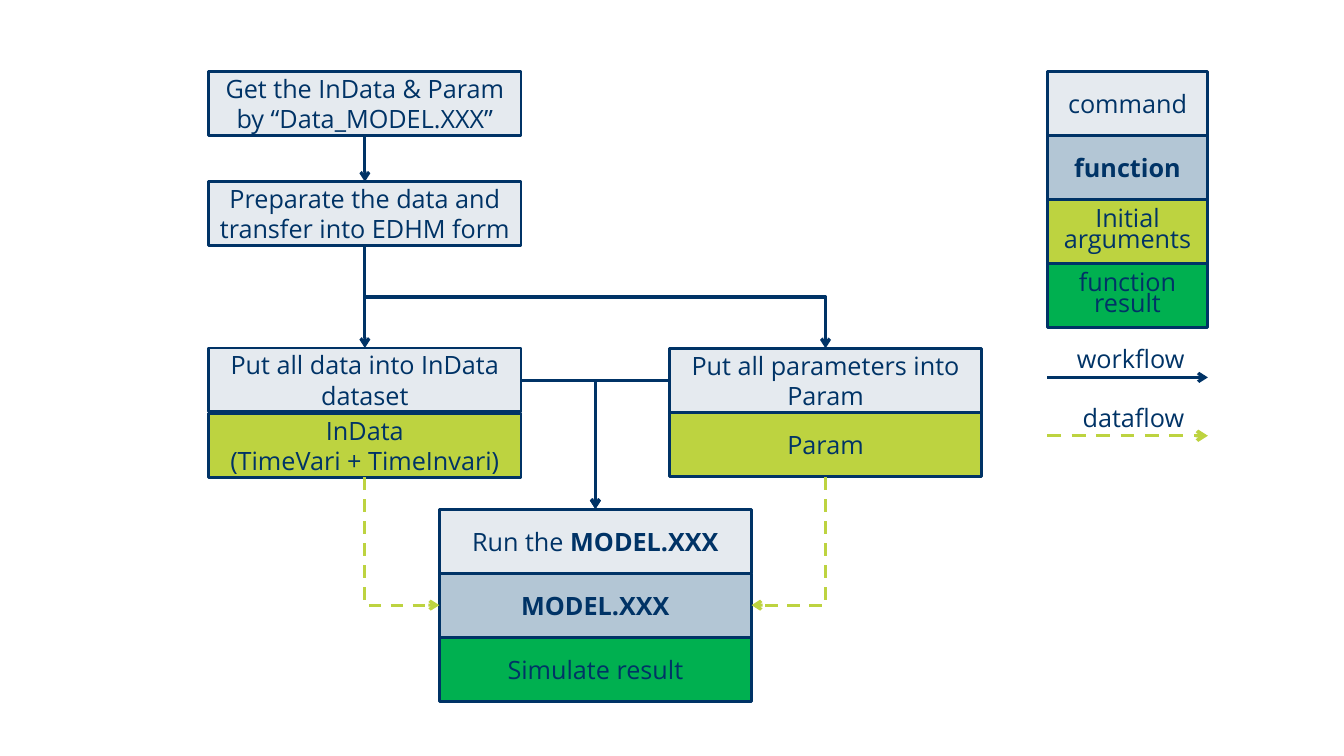
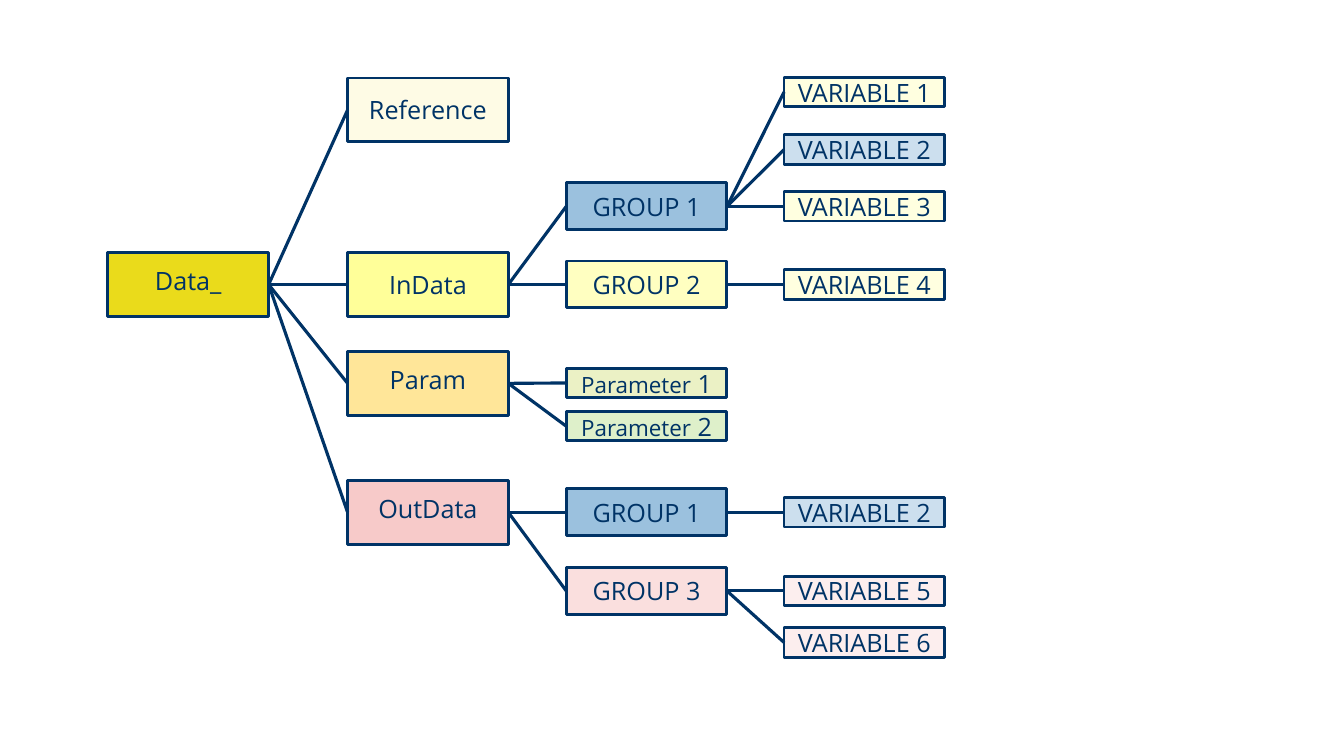
import pptx
import pptx.util
import pptx.dml.color
import pptx.enum.dml
import pptx.enum.shapes
import pptx.enum.text
import pptx.oxml.ns
import lxml.etree

Cm = pptx.util.Cm
Pt = pptx.util.Pt
qn = pptx.oxml.ns.qn
RECTANGLE = pptx.enum.shapes.MSO_SHAPE.RECTANGLE
CONNECTOR = pptx.enum.shapes.MSO_CONNECTOR

NAVY = "003366"
STEEL = "B3C6D5"
LIME = "BDD340"
GREEN = "00B050"
BLUE = "5998C9"
YELLOW = "FFFF99"
PINK = "F7CAC9"
FONT = "Open Sans"


def paint(fill, color, opacity=100):
    fill.solid()
    fill.fore_color.rgb = pptx.dml.color.RGBColor.from_string(color)
    if opacity < 100:
        tone = fill._xPr.find(qn("a:solidFill")).find(qn("a:srgbClr"))
        lxml.etree.SubElement(tone, qn("a:alpha")).set("val", str(opacity * 1000))


def add_box(page, left, top, width, height, text, color=None, opacity=100, bold=False, spacing=None):
    area = Cm(left), Cm(top), Cm(width), Cm(height)
    if color:
        box = page.shapes.add_shape(RECTANGLE, *area)
        box.shadow.inherit = False
        paint(box.fill, color, opacity)
        paint(box.line.fill, NAVY)
        box.line.width = Pt(2)
    else:
        box = page.shapes.add_textbox(*area)
        box.text_frame.margin_top = box.text_frame.margin_bottom = 0
    frame = box.text_frame
    frame.word_wrap = True
    frame.vertical_anchor = pptx.enum.text.MSO_ANCHOR.MIDDLE
    frame.text = text
    for para in frame.paragraphs:
        para.alignment = pptx.enum.text.PP_ALIGN.CENTER
        para.font.name = FONT
        para.font.size = Pt(18)
        para.font.bold = bold
        paint(para.font.fill, NAVY)
        if spacing:
            para.line_spacing = spacing
    return box


deck = pptx.Presentation()
deck.slide_width = Cm(33.87)
deck.slide_height = Cm(19.05)
blank = deck.slide_layouts[6]
lines = []

page = deck.slides.add_slide(blank)
step_width, row = 7.87, 1.61
left_column, middle_column, right_column = 5.26, 11.07, 16.87
steps = {}
for name, left, top, text, color, opacity, bold in [
    ("get", left_column, 1.81, "Get the InData & Param by “Data_MODEL.XXX”", NAVY, 10, False),
    ("prepare", left_column, 4.58, "Preparate the data and transfer into EDHM form", NAVY, 10, False),
    ("put data", left_column, 8.77, "Put all data into InData dataset", NAVY, 10, False),
    ("data", left_column, 10.42, "InData\n(TimeVari + TimeInvari)", LIME, 100, False),
    ("put parameters", right_column, 8.78, "Put all parameters into Param", NAVY, 10, False),
    ("parameters", right_column, 10.4, "Param", LIME, 100, False),
    ("run", middle_column, 12.83, "Run the ", NAVY, 10, False),
    ("model", middle_column, 14.45, "MODEL.XXX", STEEL, 100, True),
    ("result", middle_column, 16.06, "Simulate result", GREEN, 100, False),
]:
    steps[name] = add_box(page, left, top, step_width, row, text, color, opacity, bold)
span = steps["run"].text_frame.paragraphs[0].add_run()
span.text = "MODEL.XXX"
span.font.bold = True

for start, end in [("get", "prepare"), ("prepare", "put data")]:
    arrow = page.shapes.add_connector(CONNECTOR.STRAIGHT, 0, 0, 0, 0)
    arrow.begin_connect(steps[start], 2)
    arrow.end_connect(steps[end], 0)
    lines.append((arrow, NAVY, 2.25, True))

left_axis, middle_axis, right_axis = [x + step_width / 2 for x in (left_column, middle_column, right_column)]
merge_y, model_y = 9.59, 15.25
for start, end, rotation, flip, preset, color in [
    ((left_column + step_width, merge_y), (middle_axis, 12.83), 0, None, "bentConnector2", NAVY),
    ((right_column, merge_y), (middle_axis, 12.83), 180, "flipV", "bentConnector2", NAVY),
    ((left_axis, 6.19), (right_axis, 8.78), 270, "flipH", "bentConnector3", NAVY),
    ((left_axis, 12.03), (middle_column, model_y), 270, "flipH", "bentConnector2", LIME),
    ((right_axis, 12.03), (middle_column + step_width, model_y), 90, None, "bentConnector2", LIME),
]:
    center_x, center_y = [(a + b) / 2 for a, b in zip(start, end)]
    width, height = [abs(a - b) for a, b in zip(start, end)]
    if rotation % 180:
        width, height = height, width
    left, top = center_x - width / 2, center_y - height / 2
    elbow = page.shapes.add_connector(CONNECTOR.ELBOW, Cm(left), Cm(top), Cm(left + width), Cm(top + height))
    properties = elbow._element.spPr
    properties.find(qn("a:prstGeom")).set("prst", preset)
    frame = properties.find(qn("a:xfrm"))
    frame.set("rot", str(rotation * 60000))
    if flip:
        frame.set(flip, "1")
    lines.append((elbow, color, 2.25, True))

legend_left, legend_width = 26.39, 4.05
for index, (text, color, opacity, bold, spacing) in enumerate([
    ("command", NAVY, 10, False, None),
    ("function", STEEL, 100, True, None),
    ("Initial arguments", LIME, 100, False, 0.7),
    ("function result", GREEN, 100, False, 0.7),
]):
    add_box(page, legend_left, 1.81 + index * row, legend_width, row, text, color, opacity, bold, spacing)
for text, left, top, color, weight in [
    ("workflow", 26.47, 8.61, NAVY, 2.25),
    ("dataflow", 26.54, 10.08, LIME, 2.5),
]:
    add_box(page, left, top, legend_width, 0.86, text)
    y = Cm(top + 0.9)
    sample = page.shapes.add_connector(
        CONNECTOR.STRAIGHT, Cm(legend_left), y, Cm(legend_left + legend_width), y)
    lines.append((sample, color, weight, True))

page = deck.slides.add_slide(blank)
columns = [2.72, 8.76, 14.27, 19.76]
node_width, tall, medium, thin = 4.05, 1.61, 1.18, 0.74
branch = {}
for depth, middle, height, text, color, opacity, spacing in [
    (0, 7.17, tall, "Data_", "EADB1B", 100, 0.7),
    (1, 2.77, tall, "Reference", "FEDB00", 10, None),
    (1, 7.17, tall, "InData", YELLOW, 100, None),
    (2, 5.2, medium, "GROUP 1", BLUE, 60, None),
    (3, 2.32, thin, "VARIABLE 1", YELLOW, 30, None),
    (3, 3.77, thin, "VARIABLE 2", BLUE, 30, None),
    (3, 5.2, thin, "VARIABLE 3", YELLOW, 30, None),
    (2, 7.17, medium, "GROUP 2", YELLOW, 60, None),
    (3, 7.17, thin, "VARIABLE 4", YELLOW, 30, None),
    (1, 9.66, tall, "Param", "FFE699", 100, 0.7),
    (2, 9.65, thin, "Parameter 1", LIME, 30, None),
    (2, 10.74, thin, "Parameter 2", "92D050", 30, None),
    (1, 12.91, tall, "OutData", PINK, 100, 0.7),
    (2, 12.91, medium, "GROUP 1", BLUE, 60, None),
    (3, 12.91, thin, "VARIABLE 2", BLUE, 30, None),
    (2, 14.89, medium, "GROUP 3", PINK, 60, None),
    (3, 14.89, thin, "VARIABLE 5", PINK, 30, None),
    (3, 16.19, thin, "VARIABLE 6", PINK, 30, None),
]:
    node = add_box(page, columns[depth], middle - height / 2, node_width, height,
                   text, color, opacity, spacing=spacing)
    branch[depth] = node
    if text.startswith("Parameter"):
        para = node.text_frame.paragraphs[0]
        word, number = text.split()
        para.runs[0].text = word
        para.runs[0].font.size = Pt(16)
        para.add_run().text = " " + number
    if depth:
        link = page.shapes.add_connector(CONNECTOR.STRAIGHT, 0, 0, 0, 0)
        link.begin_connect(node, 1)
        link.end_connect(branch[depth - 1], 3)
        lines.append((link, NAVY, 2.25, False))

for connector, color, weight, pointed in lines:
    paint(connector.line.fill, color)
    connector.line.width = Pt(weight)
    if color == LIME:
        connector.line.dash_style = pptx.enum.dml.MSO_LINE.DASH
    properties = connector._element.spPr
    if pointed:
        lxml.etree.SubElement(properties.find(qn("a:ln")), qn("a:tailEnd")).set("type", "arrow")
    lxml.etree.SubElement(properties, qn("a:effectLst"))

deck.save("out.pptx")
